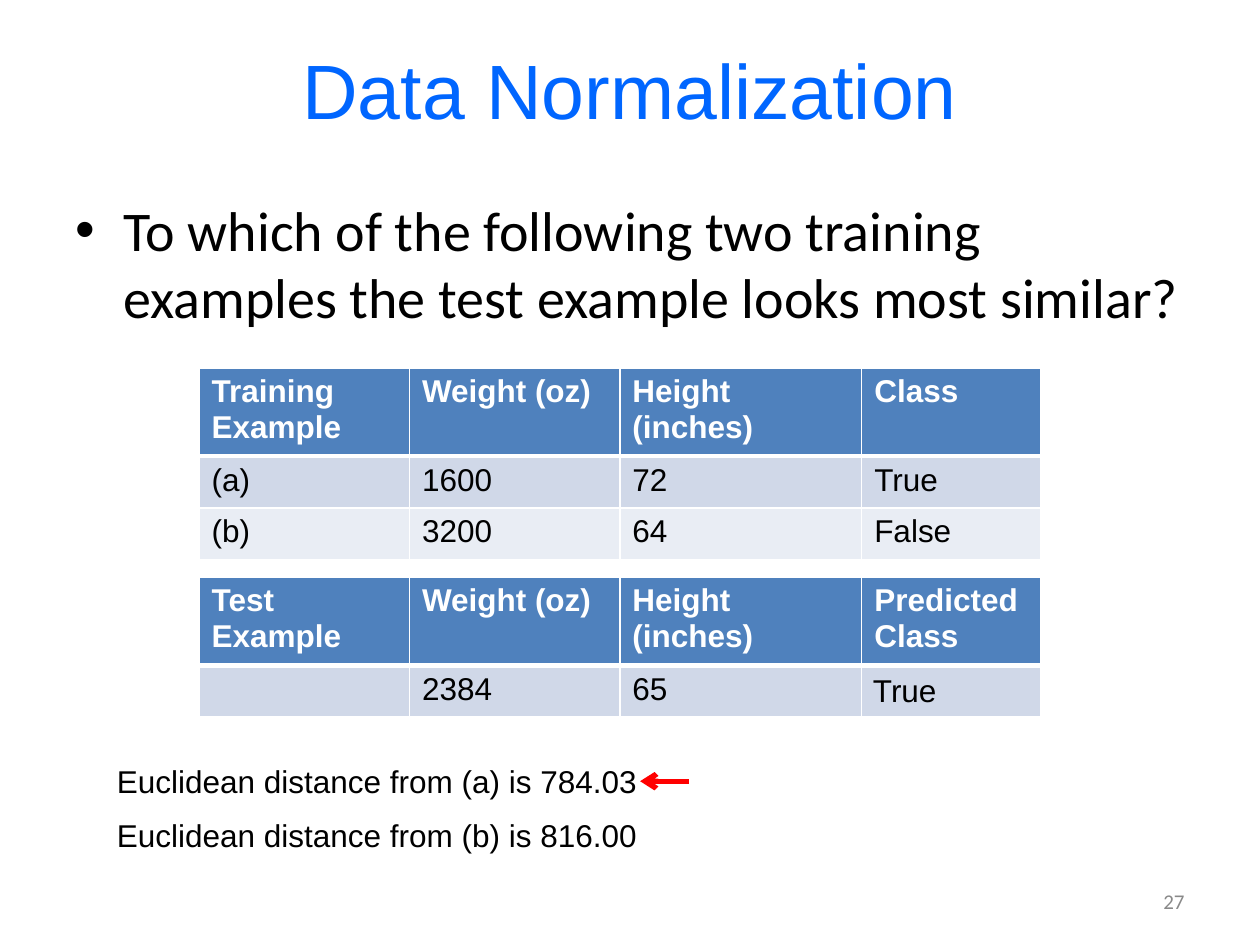
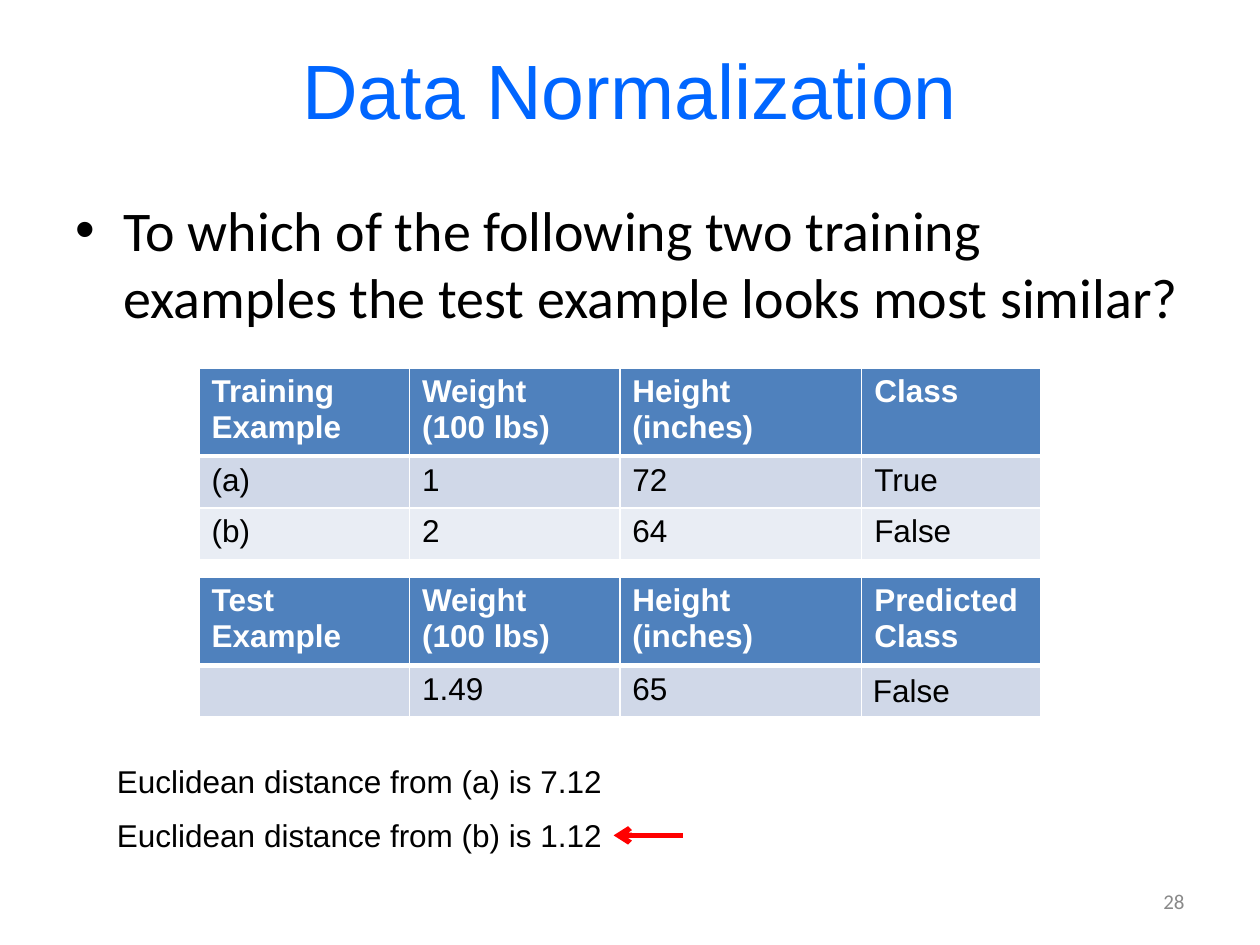
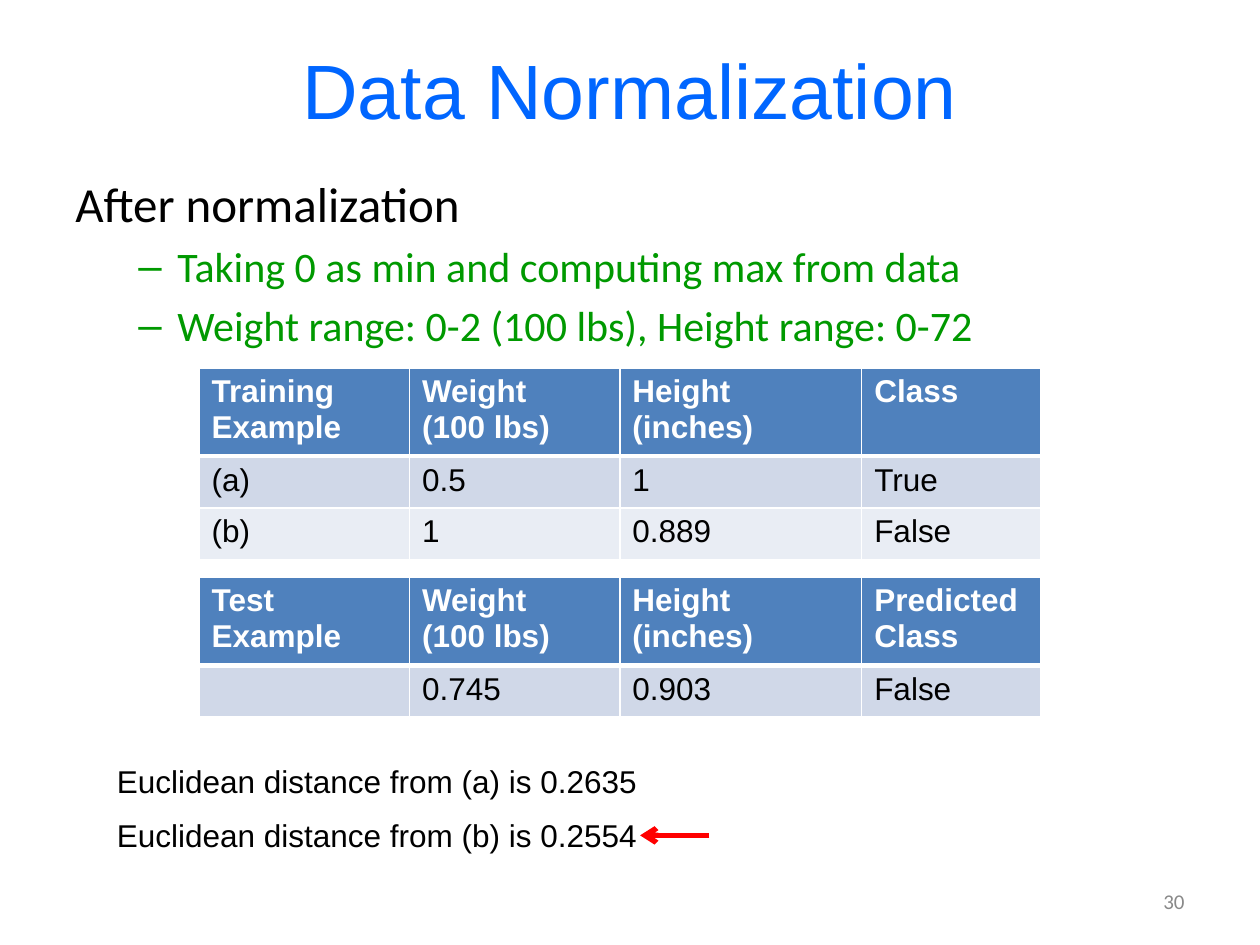
from dataclasses import dataclass

from lxml.etree import SubElement
from pptx import Presentation
from pptx.dml.color import RGBColor as RGB
from pptx.enum.shapes import MSO_CONNECTOR as Connector
from pptx.enum.text import MSO_ANCHOR as Anchor, PP_ALIGN as Align
from pptx.oxml.ns import qn
from pptx.util import Inches, Pt


@dataclass(frozen=True)
class Theme:
    title: RGB = RGB.from_string("0066FF")
    ink: RGB = RGB.from_string("000000")
    detail: RGB = RGB.from_string("009900")
    page: RGB = RGB.from_string("898989")
    arrow: RGB = RGB.from_string("FF0000")
    white: RGB = RGB.from_string("FFFFFF")
    header: RGB = RGB.from_string("4F81BD")
    bands: tuple = (RGB.from_string("D0D8E8"), RGB.from_string("E9EDF4"))
    sans: str = "Arial"
    body: str = "Calibri"
    title_size: int = 44
    question_size: int = 32
    lead_size: int = 28
    detail_size: int = 24
    text_size: int = 18
    page_size: int = 12


theme = Theme()


def style(paragraph, face, size, color, bold=False, align=Align.LEFT):
    paragraph.alignment = align
    font = paragraph.font
    font.name, font.size, font.bold = face, Pt(size), bold
    font.color.rgb = color


def add_label(slide, left, top, width, text, wrap=True):
    label = slide.shapes.add_textbox(Inches(left), Inches(top), Inches(width), Inches(0.4))
    label.text_frame.word_wrap = wrap
    label.text_frame.text = text
    style(label.text_frame.paragraphs[0], theme.sans, theme.text_size, theme.ink)
    return label


question = [("To which of the following two training examples the test example looks most similar?",
             theme.question_size, theme.ink, "•", 0.38, -0.38)]
normalized = [
    ("After normalization", theme.lead_size, theme.ink, None, 0, 0),
    ("Taking 0 as min and computing max from data",
     theme.detail_size, theme.detail, "–", 0.81, -0.31),
    ("Weight range: 0-2 (100 lbs), Height range: 0-72",
     theme.detail_size, theme.detail, "–", 0.81, -0.31),
]
ounces, pounds = "Weight (oz)", "Weight\n(100 lbs)"
column_widths = (1.67, 1.67, 1.92, 1.42)
header_height, row_height = 0.65, 0.41
distance_tops = {"a": 6.0, "b": 6.43}

pages = [
    dict(number="27", body=question, body_top=1.5, weight=ounces,
         training=[("1600", "72"), ("3200", "64")], test=("2384", "65", ""), overlay=("True", 0.75),
         distances=("784.03", "816.00"), distance_width=4.37, nearest="a", arrow=(5.47, 5.08)),
    dict(number="28", body=question, body_top=1.5, weight=pounds,
         training=[("1", "72"), ("2", "64")], test=("1.49", "65", ""), overlay=("False", 0.92),
         distances=("7.12", "1.12"), distance_width=4.09, nearest="b", arrow=(5.42, 4.87)),
    dict(number="30", body=normalized, body_top=1.33, weight=pounds,
         training=[("0.5", "1"), ("1", "0.889")], test=("0.745", "0.903", "False"), overlay=None,
         distances=("0.2635", "0.2554"), distance_width=4.37, nearest="b", arrow=(5.63, 5.08)),
]

deck = Presentation()
deck.slide_width, deck.slide_height = Inches(10), Inches(7.5)

for page in pages:
    slide = deck.slides.add_slide(deck.slide_layouts[5])
    title = slide.shapes.title
    title.left, title.top = Inches(0.5), Inches(0.08)
    title.width, title.height = Inches(9), Inches(1.25)
    title.text_frame.text = "Data Normalization"
    title.text_frame.vertical_anchor = Anchor.MIDDLE
    style(title.text_frame.paragraphs[0], theme.sans, theme.title_size, theme.title,
          align=Align.CENTER)

    body = slide.shapes.add_textbox(Inches(0.5), Inches(page["body_top"]), Inches(9), Inches(5.67))
    body.text_frame.word_wrap = True
    for index, (text, size, color, bullet, margin, indent) in enumerate(page["body"]):
        point = body.text_frame.add_paragraph() if index else body.text_frame.paragraphs[0]
        point.text = text
        properties = point._p.get_or_add_pPr()
        properties.set("marL", str(Inches(margin)))
        properties.set("indent", str(Inches(indent)))
        if index:
            point.space_before = Pt(size * 0.2)
        if bullet:
            SubElement(properties, qn("a:buFont"), typeface=theme.sans)
            SubElement(properties, qn("a:buChar"), char=bullet)
        style(point, theme.body, size, color)

    page_number = slide.shapes.add_textbox(Inches(7.17), Inches(6.95), Inches(2.33), Inches(0.4))
    page_number.text_frame.word_wrap = True
    page_number.text_frame.vertical_anchor = Anchor.MIDDLE
    page_number.text_frame.text = page["number"]
    style(page_number.text_frame.paragraphs[0], theme.body, theme.page_size, theme.page,
          align=Align.RIGHT)

    training_rows = [("Training Example", page["weight"], "Height (inches)", "Class")]
    for example, values, outcome in zip(("(a)", "(b)"), page["training"], ("True", "False")):
        training_rows.append((example, *values, outcome))
    test_rows = [("Test Example", page["weight"], "Height (inches)", "Predicted Class"),
                 ("", *page["test"])]

    for top, rows in ((2.92, training_rows), (4.58, test_rows)):
        height = header_height + row_height * (len(rows) - 1)
        examples = slide.shapes.add_table(len(rows), len(column_widths), Inches(1.58), Inches(top),
                                          Inches(sum(column_widths)), Inches(height)).table
        for column, width in zip(examples.columns, column_widths):
            column.width = Inches(width)
        for r, row in enumerate(rows):
            examples.rows[r].height = Inches(row_height if r else header_height)
            for c, text in enumerate(row):
                cell = examples.cell(r, c)
                cell.text = text
                for paragraph in cell.text_frame.paragraphs:
                    style(paragraph, theme.sans, theme.text_size,
                          theme.ink if r else theme.white, bold=r == 0)
                heavy = {0: "lnB", 1: "lnT"}.get(r)
                for side in ("lnL", "lnR", "lnT", "lnB"):
                    border = SubElement(cell._tc.get_or_add_tcPr(), qn(f"a:{side}"),
                                        w=str(Pt(3 if side == heavy else 1)))
                    border_fill = SubElement(border, qn("a:solidFill"))
                    SubElement(border_fill, qn("a:srgbClr"), val=str(theme.white))
                cell.fill.solid()
                cell.fill.fore_color.rgb = theme.bands[(r - 1) % 2] if r else theme.header

    for (example, top), distance in zip(distance_tops.items(), page["distances"]):
        add_label(slide, 0.83, top, page["distance_width"],
                  f"Euclidean distance from ({example}) is {distance}", wrap=False)

    arrow_y = Inches(distance_tops[page["nearest"]] + 0.2)
    start, tip = page["arrow"]
    nearest_arrow = slide.shapes.add_connector(Connector.STRAIGHT, Inches(start), arrow_y,
                                               Inches(tip), arrow_y)
    nearest_arrow.line.color.rgb = theme.arrow
    nearest_arrow.line.width = Pt(3)
    SubElement(nearest_arrow.line._get_or_add_ln(), qn("a:tailEnd"), type="arrow")
    SubElement(nearest_arrow._element.spPr, qn("a:effectLst"))

    if page["overlay"]:
        prediction, width = page["overlay"]
        add_label(slide, 6.83, 5.28, width, prediction)

deck.save("out.pptx")
